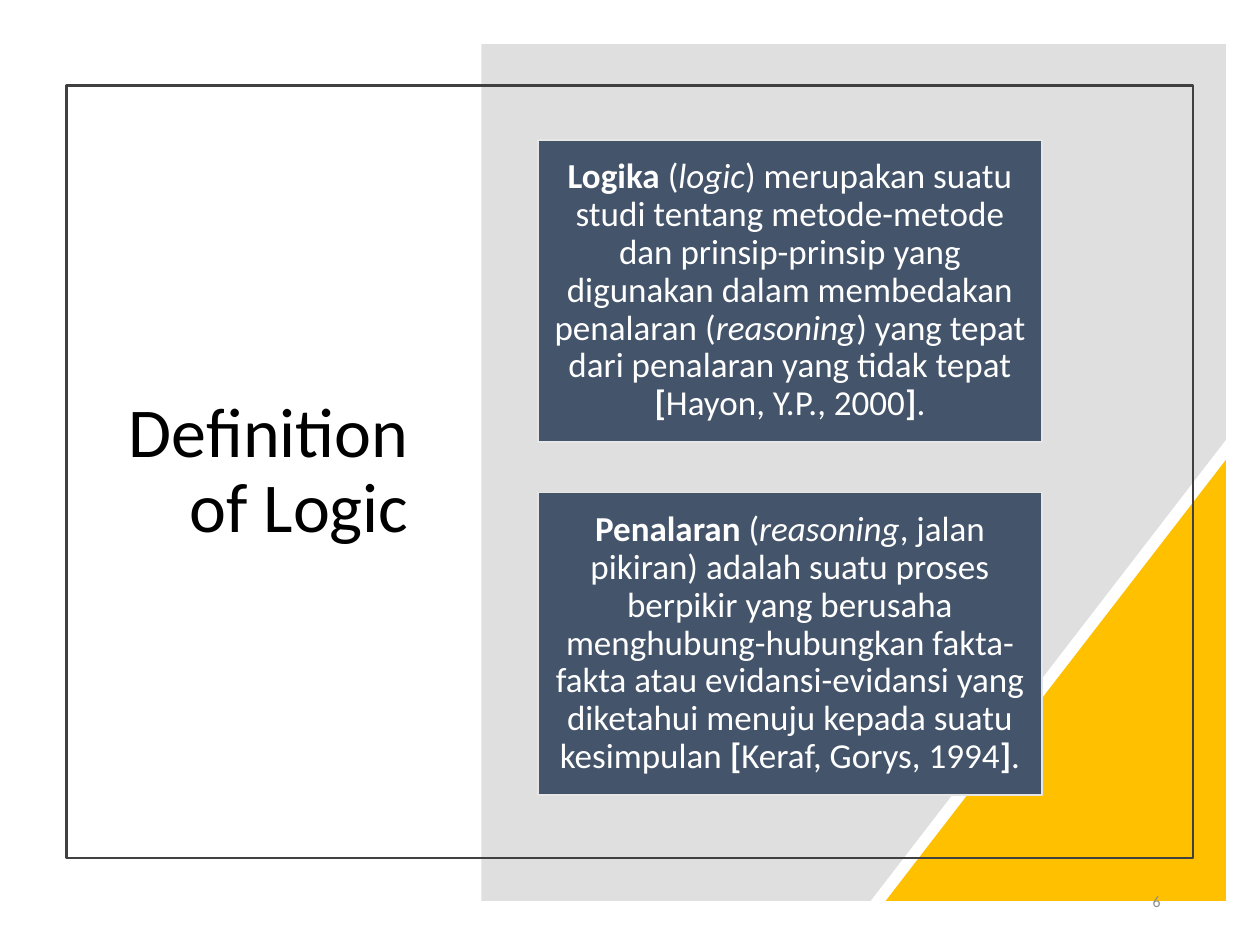
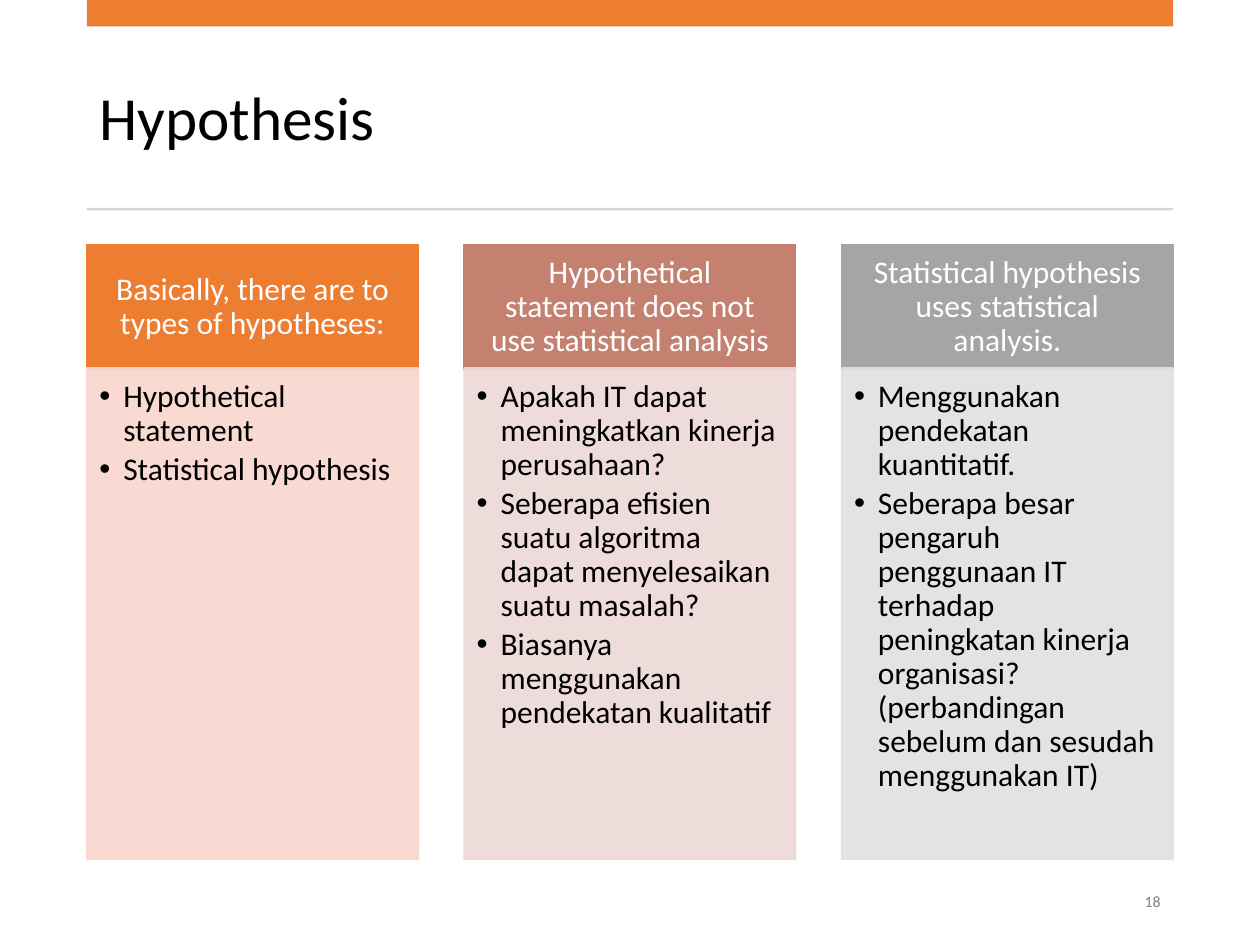
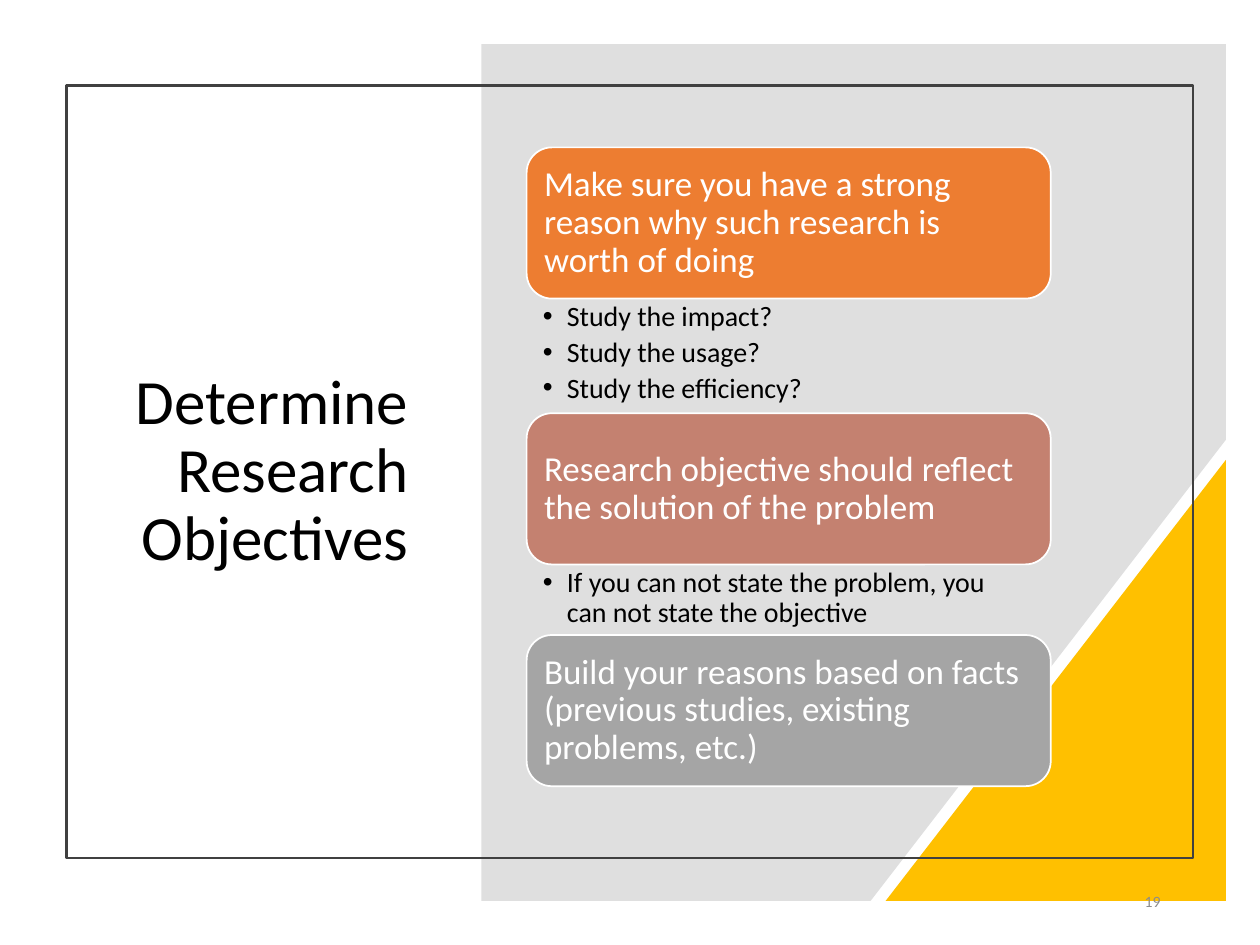
from lxml.etree import SubElement
from pptx import Presentation
from pptx.dml.color import RGBColor
from pptx.enum.shapes import MSO_SHAPE
from pptx.enum.text import MSO_ANCHOR, PP_ALIGN
from pptx.oxml.ns import qn
from pptx.util import Inches, Pt

FONT = "Calibri"
BLACK, WHITE = "000000", "FFFFFF"
ORANGE, ROSE, GRAY = "ED7D31", "C48170", "A5A5A5"
SLATE, PALE, GOLD = "44546A", "E7E6E6", "FFC000"
FRAME, RULE, PANEL = "404040", "D5D5D5", "808080"
EVEN_INSETS = (0.08, 0.08, 0.08, 0.08)
LEFT, WIDTH = 0.69, 8.62


def rgb(colour):
    return RGBColor.from_string(colour)


def paint(fill, colour, opacity=100):
    fill.solid()
    fill.fore_color.rgb = rgb(colour)
    if opacity < 100:
        for element in fill._xPr.iter(qn("a:srgbClr")):
            if element.find(qn("a:alpha")) is None:
                SubElement(element, qn("a:alpha"), val=str(opacity * 1000))


def add_bullet(paragraph):
    paragraph.level = 1
    properties = paragraph._p.get_or_add_pPr()
    properties.set("marL", str(Inches(0.19)))
    properties.set("indent", str(Inches(-0.19)))
    SubElement(properties, qn("a:buFont"), typeface="Arial")
    SubElement(properties, qn("a:buChar"), char="•")


class SlideBuilder:
    def __init__(self):
        self.deck = Presentation()
        self.deck.slide_width = Inches(10)
        self.deck.slide_height = Inches(7.5)
        self.page = None

    def new_page(self):
        self.page = self.deck.slides.add_slide(self.deck.slide_layouts[6])

    def shape(self, at, fill=None, line=None, kind=MSO_SHAPE.RECTANGLE, weight=1, opacity=100):
        box = self.page.shapes.add_shape(kind, *map(Inches, at))
        self.finish(box, fill, line, weight, opacity)
        return box

    def finish(self, box, fill, line=None, weight=1, opacity=100):
        box.shadow.inherit = False
        if fill:
            paint(box.fill, fill, opacity)
        else:
            box.fill.background()
        if line:
            paint(box.line.fill, line, opacity)
            box.line.width = Pt(weight)
        else:
            box.line.fill.background()

    def polygon(self, points, fill, opacity):
        corners = [(Inches(x), Inches(y)) for x, y in points]
        builder = self.page.shapes.build_freeform(*corners[0])
        builder.add_line_segments(corners[1:], close=True)
        self.finish(builder.convert_to_shape(), fill, opacity=opacity)

    def textbox(self, at, *args, **options):
        box = self.page.shapes.add_textbox(*map(Inches, at))
        self.set_text(box, *args, **options)

    def set_text(self, box, paragraphs, size, colour, align=PP_ALIGN.LEFT,
                 anchor=MSO_ANCHOR.MIDDLE, insets=(0.1, 0.05, 0.1, 0.05), spacing=0.9,
                 after=0, bullets=False):
        """Each paragraph is a string or a list of (text, style); style holds b and i flags."""
        frame = box.text_frame
        frame.word_wrap = True
        frame.vertical_anchor = anchor
        (frame.margin_left, frame.margin_top,
         frame.margin_right, frame.margin_bottom) = map(Inches, insets)
        for index, content in enumerate(paragraphs):
            paragraph = frame.add_paragraph() if index else frame.paragraphs[0]
            if bullets:
                add_bullet(paragraph)
            paragraph.alignment = align
            paragraph.line_spacing = spacing
            paragraph.space_after = Pt(after)
            spans = [(content, "")] if isinstance(content, str) else content
            for text, style in spans:
                span = paragraph.add_run()
                span.text = text
                span.font.name = FONT
                span.font.size = Pt(size)
                span.font.color.rgb = rgb(colour)
                span.font.bold = "b" in style
                span.font.italic = "i" in style

    def bullets(self, at, items, size, insets, after):
        self.textbox(at, items, size, BLACK, anchor=MSO_ANCHOR.TOP,
                     insets=insets, after=after, bullets=True)

    def page_number(self, number, colour="8C8C8C"):
        self.textbox((7.06, 6.95, 2.25, 0.4), [number], 9, colour, PP_ALIGN.RIGHT, spacing=1)

    def split_page(self, title, size):
        """Start a page with the title at left and the framed panel at right."""
        self.new_page()
        self.textbox((0.83, 1.3, 2.51, 4.9), [title], size, BLACK, PP_ALIGN.RIGHT)
        self.polygon([(3.82, 0.35), (9.73, 0.35), (9.73, 3.49), (6.91, 7.15), (3.82, 7.15)],
                     PANEL, 25)
        corner = self.shape((7.03, 3.65, 2.7, 3.5), GOLD, kind=MSO_SHAPE.RIGHT_TRIANGLE)
        corner._element.spPr.get_or_add_xfrm().set("flipH", "1")
        self.shape((0.53, 0.68, 8.94, 6.13), line=FRAME, weight=1.5)


def definition_page(slides):
    slides.split_page("Definition of Logic", 40)
    definitions = [
        [("Logika ", "b"), ("(", ""), ("logic", "i"),
         (") merupakan suatu studi tentang metode-metode dan prinsip-prinsip yang digunakan "
          "dalam membedakan penalaran (", ""), ("reasoning", "i"),
         (") yang tepat dari penalaran yang tidak tepat ", ""),
         ("[", "b"), ("Hayon, Y.P., 2000", ""), ("]", "b"), (".", "")],
        [("Penalaran", "b"), (" (", ""), ("reasoning", "i"),
         (", jalan pikiran) adalah suatu proses berpikir yang berusaha menghubung-hubungkan "
          "fakta-fakta atau evidansi-evidansi yang diketahui menuju kepada suatu kesimpulan ", ""),
         ("[", "b"), ("Keraf, Gorys, 1994", ""), ("]", "b"), (".", "")],
    ]
    for index, definition in enumerate(definitions):
        card = slides.shape((4.27, 1.11 + 2.8 * index, 4, 2.4), SLATE, PALE)
        slides.set_text(card, [definition], 20, WHITE, PP_ALIGN.CENTER, insets=EVEN_INSETS)
    slides.page_number("6")


def hypothesis_page(slides):
    slides.new_page()
    slides.textbox((LEFT, 0.37, WIDTH, 1.18), ["Hypothesis"], 35, BLACK)
    slides.shape((LEFT, 0, WIDTH, 0.21), ORANGE)
    slides.shape((LEFT, 1.65, WIDTH, 0.02), RULE)
    slides.page_number("18", "808080")
    columns = [
        (ORANGE, "F8D7CE", "Basically, there are to types of hypotheses:",
         ["Hypothetical statement", "Statistical hypothesis"]),
        (ROSE, "EDD9D7", "Hypothetical statement does not use statistical analysis",
         ["Apakah IT dapat meningkatkan kinerja perusahaan?",
          "Seberapa efisien suatu algoritma dapat menyelesaikan suatu masalah?",
          "Biasanya menggunakan pendekatan kualitatif"]),
        (GRAY, "E1E1E1", "Statistical hypothesis uses statistical analysis.",
         ["Menggunakan pendekatan kuantitatif.",
          "Seberapa besar pengaruh penggunaan IT terhadap peningkatan kinerja organisasi? "
          "(perbandingan sebelum dan sesudah menggunakan IT)"]),
    ]
    column_width = 2.63
    pitch = (WIDTH - column_width) / (len(columns) - 1)
    for index, (colour, tint, heading, items) in enumerate(columns):
        left = LEFT + pitch * index
        header = slides.shape((left, 1.94, column_width, 0.99), colour, colour)
        slides.set_text(header, [heading], 18, WHITE, PP_ALIGN.CENTER,
                        insets=(0.14, 0.08, 0.14, 0.08))
        body = (left, 2.92, column_width, 3.9)
        slides.shape(body, tint, tint, opacity=90)
        slides.bullets(body, items, 18, (0.1, 0.1, 0.14, 0.16), 2.7)


def objectives_page(slides):
    slides.split_page("Determine Research Objectives", 36)
    steps = [
        (ORANGE, "Make sure you have a strong reason why such research is worth of doing",
         ["Study the impact?", "Study the usage?", "Study the efficiency?"], 0.91),
        (ROSE, "Research objective should reflect the solution of the problem",
         ["If you can not state the problem, you can not state the objective"], 0.56),
        (GRAY, "Build your reasons based on facts (previous studies, existing problems, etc.)",
         [], 0),
    ]
    left, top, width, height = 4.18, 1.17, 4.16, 1.2
    for colour, heading, items, list_height in steps:
        card = slides.shape((left, top, width, height), colour, WHITE,
                            MSO_SHAPE.ROUNDED_RECTANGLE)
        slides.set_text(card, [heading], 20, WHITE, insets=EVEN_INSETS)
        top += height
        if items:
            slides.bullets((left, top, width, list_height), items, 16,
                           (0.13, 0.03, 0.16, 0.03), 3.2)
        top += list_height
    slides.page_number("19")


def main():
    slides = SlideBuilder()
    definition_page(slides)
    hypothesis_page(slides)
    objectives_page(slides)
    slides.deck.save("out.pptx")


if __name__ == "__main__":
    main()
